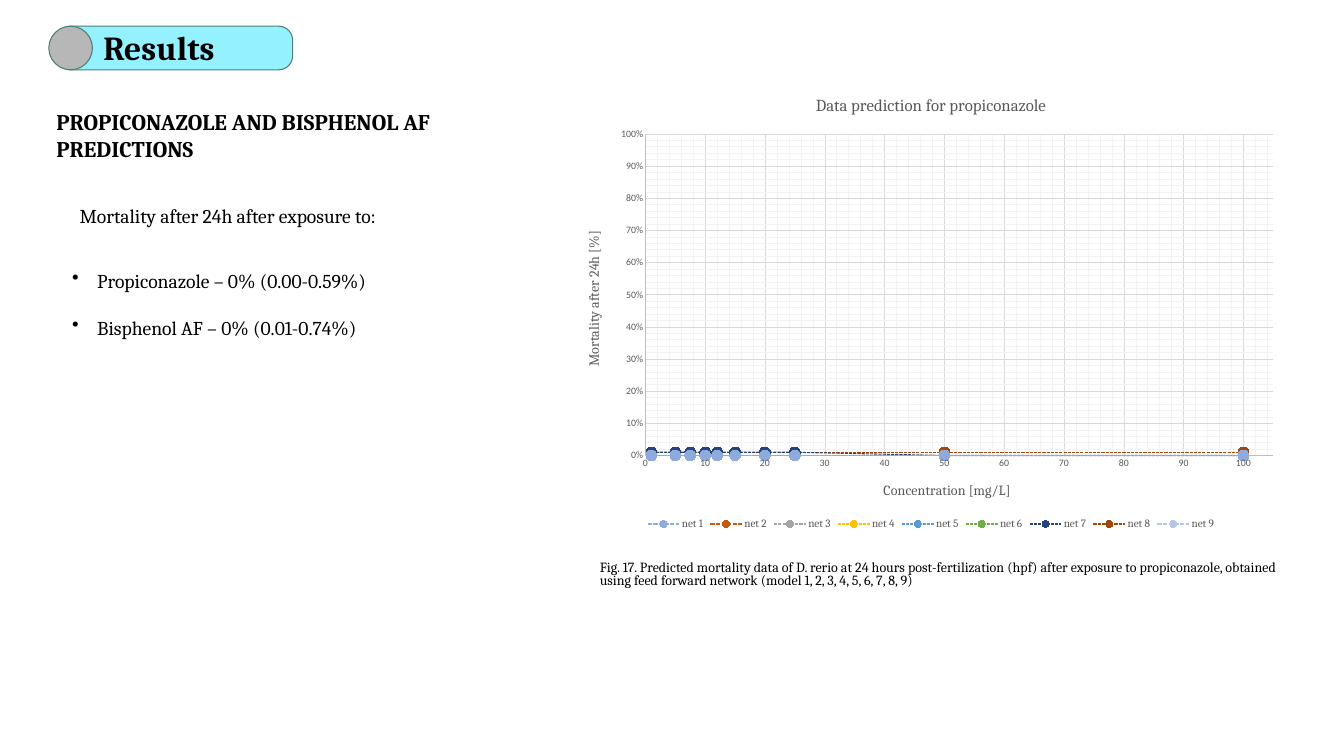
import copy
import dataclasses

import lxml.etree
import pptx
import pptx.chart.data
import pptx.dml.color
import pptx.enum.chart
import pptx.enum.dml
import pptx.enum.shapes
import pptx.enum.text
import pptx.oxml.ns
import pptx.util

Cm, Pt = pptx.util.Cm, pptx.util.Pt
qn = pptx.oxml.ns.qn
ANCHOR = pptx.enum.text.MSO_ANCHOR
SHAPE = pptx.enum.shapes.MSO_SHAPE


@dataclasses.dataclass
class Theme:
    serif: str = "Cambria"
    sans: str = "Calibri"
    ink: str = "000000"
    gray: str = "595959"
    edge: str = "4C7D77"
    pill: str = "94F2FF"
    disc: str = "B7B7B7"
    axis: str = "BFBFBF"
    grid: str = "D9D9D9"
    minor: str = "F2F2F2"
    title: int = 48
    head: int = 32
    body: int = 28
    note: int = 20
    top: int = 24
    key: int = 16
    tick: int = 14


# name, line colour, line width, marker colour, share of deaths at each dose
DOSES = [1, 5, 7.5, 10, 12, 15, 20, 25, 50, 100]
ZERO = [0] * 10
NETS = [
    ("net 1", "8FAADC", 2, "4472C4", ZERO),
    ("net 2", "C55A11", 2, "ED7D31", ZERO),
    ("net 3", "A5A5A5", 1.5, "A5A5A5", ZERO),
    ("net 4", "FFC000", 1.5, "FFC000", ZERO),
    ("net 5", "5B9BD5", 1.5, "5B9BD5", ZERO),
    ("net 6", "70AD47", 1.5, "70AD47", ZERO),
    ("net 7", "264478", 1.5, "264478", [0.01] * 8 + [0, 0]),
    ("net 8", "9E480E", 1.5, "9E480E", [0.01] * 10),
    ("net 9", "B4C7E7", 2, "636363", ZERO),
]


def apply(item, values):
    for name, value in values.items():
        setattr(item, name, value)


def rgb(code):
    return pptx.dml.color.RGBColor.from_string(code)


def fill(item, code):
    item.fill.solid()
    item.fill.fore_color.rgb = rgb(code)


def stroke(line, code, width):
    line.color.rgb = rgb(code)
    line.width = Pt(width)


class Page:
    def __init__(self, slide, theme):
        self.slide, self.theme = slide, theme

    def font(self, font, size, code, face=None, bold=False):
        apply(font, {"name": face or self.theme.serif, "size": Pt(size), "bold": bold})
        font.color.rgb = rgb(code)

    def shape(self, kind, box, code):
        shape = self.slide.shapes.add_shape(kind, *map(Cm, box))
        shape.shadow.inherit = False
        fill(shape, code)
        stroke(shape.line, self.theme.edge, 1.5)
        return shape

    def text(self, box, lines, size, bold=False, inset=0, anchor=ANCHOR.TOP,
             spacing=None, gap=0, indent=0, bullet=None):
        frame = self.slide.shapes.add_textbox(*map(Cm, box)).text_frame
        sides = ("left", "right", "top", "bottom")
        apply(frame, {f"margin_{side}": Cm(inset) for side in sides})
        apply(frame, {"word_wrap": True, "vertical_anchor": anchor})
        for rank, line in enumerate(lines):
            para = frame.add_paragraph() if rank else frame.paragraphs[0]
            run = para.add_run()
            run.text = line
            self.font(run.font, size, self.theme.ink, bold=bold)
            if spacing:
                para.line_spacing = Pt(spacing)
            if rank and gap:
                para.space_before = Pt(gap)
            props = para._p.get_or_add_pPr()
            props.set("marL", str(int(Cm(indent))))
            if bullet:
                props.set("indent", str(-int(Cm(indent))))
                lxml.etree.SubElement(props, qn("a:buChar")).set("char", bullet)

    def label(self, owner, text, size):
        para = owner.text_frame.paragraphs[0]
        run = para.add_run()
        run.text = text
        self.font(run.font, size, self.theme.gray)

    def grid(self, axis):
        """Style both grids; the minor one takes its line by way of the major."""
        apply(axis, {"has_major_gridlines": True, "has_minor_gridlines": True})
        line = axis.major_gridlines.format.line
        stroke(line, self.theme.minor, 0.75)
        props = axis._element.find(qn("c:majorGridlines")).find(qn("c:spPr"))
        axis._element.find(qn("c:minorGridlines")).append(copy.deepcopy(props))
        stroke(line, self.theme.grid, 0.75)

    def axis(self, axis, title, top, step, style):
        theme = self.theme
        none = pptx.enum.chart.XL_TICK_MARK.NONE
        apply(axis, {
            "minimum_scale": 0, "maximum_scale": top,
            "major_unit": step, "minor_unit": step / 5,
            "major_tick_mark": none, "minor_tick_mark": none,
        })
        stroke(axis.format.line, theme.axis, 0.75)
        self.grid(axis)
        apply(axis.tick_labels, {"number_format": style, "number_format_is_linked": False})
        self.font(axis.tick_labels.font, theme.tick, theme.gray, theme.sans)
        self.label(axis.axis_title, title, theme.note)

    def chart(self, box, title, plot):
        theme = self.theme
        data = pptx.chart.data.XyChartData()
        for name, _, _, _, deaths in NETS:
            series = data.add_series(name)
            for dose, death in zip(DOSES, deaths):
                series.add_data_point(dose, death)
        kind = pptx.enum.chart.XL_CHART_TYPE.XY_SCATTER_LINES
        chart = self.slide.shapes.add_chart(kind, *map(Cm, box), data).chart
        self.font(chart.font, 10, theme.ink, theme.sans)
        apply(chart, {"has_title": True, "has_legend": True})
        self.label(chart.chart_title, title, theme.top)
        bottom = pptx.enum.chart.XL_LEGEND_POSITION.BOTTOM
        apply(chart.legend, {"position": bottom, "include_in_layout": False})
        self.font(chart.legend.font, theme.key, theme.gray)
        chart.plots[0].vary_by_categories = False
        self.axis(chart.category_axis, "Concentration [mg/L]", 105, 10, "0")
        self.axis(chart.value_axis, "Mortality after 24h [%]", 1, 0.1, "0%")
        circle = pptx.enum.chart.XL_MARKER_STYLE.CIRCLE
        for series, (_, code, width, dot, _) in zip(chart.plots[0].series, NETS):
            series.smooth = False
            stroke(series.format.line, code, width)
            series.format.line.dash_style = pptx.enum.dml.MSO_LINE.SQUARE_DOT
            apply(series.marker, {"style": circle, "size": 15})
            fill(series.marker.format, dot)
            stroke(series.marker.format.line, dot, 0.75)
        self.place(chart, plot)

    def place(self, chart, plot):
        """Fix the inner plot area, in fractions of the chart."""
        area = chart._chartSpace.find(".//" + qn("c:plotArea"))
        for old in area.findall(qn("c:layout")):
            area.remove(old)
        layout = lxml.etree.Element(qn("c:layout"))
        area.insert(0, layout)
        manual = lxml.etree.SubElement(layout, qn("c:manualLayout"))
        values = {"layoutTarget": "inner", "xMode": "edge", "yMode": "edge"}
        values.update(zip("xywh", plot))
        for name, value in values.items():
            lxml.etree.SubElement(manual, qn("c:" + name)).set("val", str(value))


def main():
    deck = pptx.Presentation()
    apply(deck, {"slide_width": Cm(67.74), "slide_height": Cm(38.1)})
    theme = Theme()
    page = Page(deck.slides.add_slide(deck.slide_layouts[6]), theme)

    page.text((30.23, 28.37, 35, 1.35), [
        "Fig. 17. Predicted mortality data of D. rerio at 24 hours post-fertilization (hpf) "
        "after exposure to propiconazole, obtained using feed forward network "
        "(model 1, 2, 3, 4, 5, 6, 7, 8, 9)"], theme.note, spacing=18)
    pill = page.shape(SHAPE.ROUNDED_RECTANGLE, (2.84, 1.32, 11.91, 2.2), theme.pill)
    pill.adjustments[0] = 0.32
    page.text((5.21, 1.42, 9.07, 2), ["Results"], theme.title, bold=True, spacing=56)
    page.shape(SHAPE.OVAL, (2.46, 1.32, 2.2, 2.2), theme.disc)
    page.chart((28.93, 4.01, 35.97, 22.83), "Data prediction for propiconazole",
               (0.1, 0.12, 0.88, 0.71))
    page.text((2.84, 5.46, 22.43, 2.74), ["PROPICONAZOLE AND BISPHENOL AF PREDICTIONS"],
              theme.head, bold=True)
    body = {"size": theme.body, "inset": 0.15, "anchor": ANCHOR.MIDDLE, "indent": 1.27}
    page.text((2.59, 10.13, 17.93, 1.47), ["Mortality after 24h after exposure to:"], **body)
    page.text((3.48, 13.36, 17.93, 3.89),
              ["Propiconazole – 0% (0.00-0.59%)", "Bisphenol AF – 0% (0.01-0.74%)"],
              gap=33.5, bullet="•", **body)
    deck.save("out.pptx")


if __name__ == "__main__":
    main()
